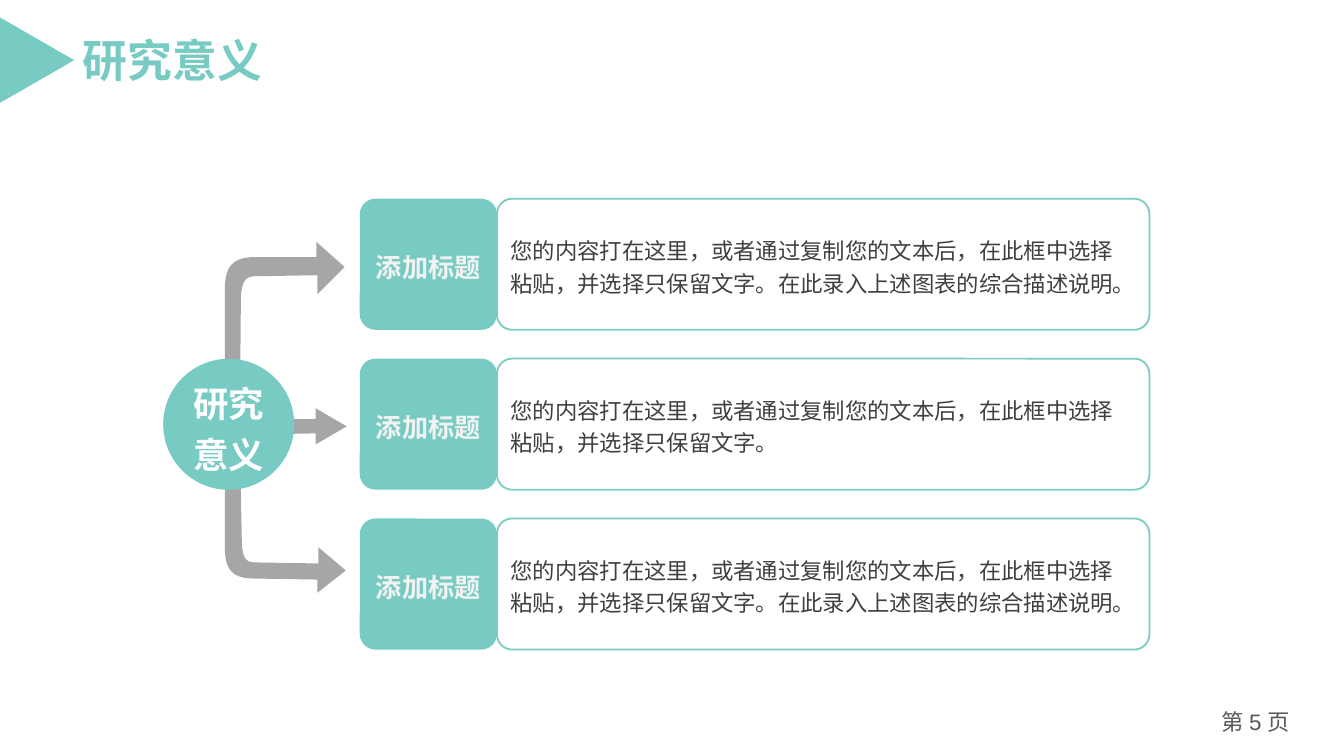
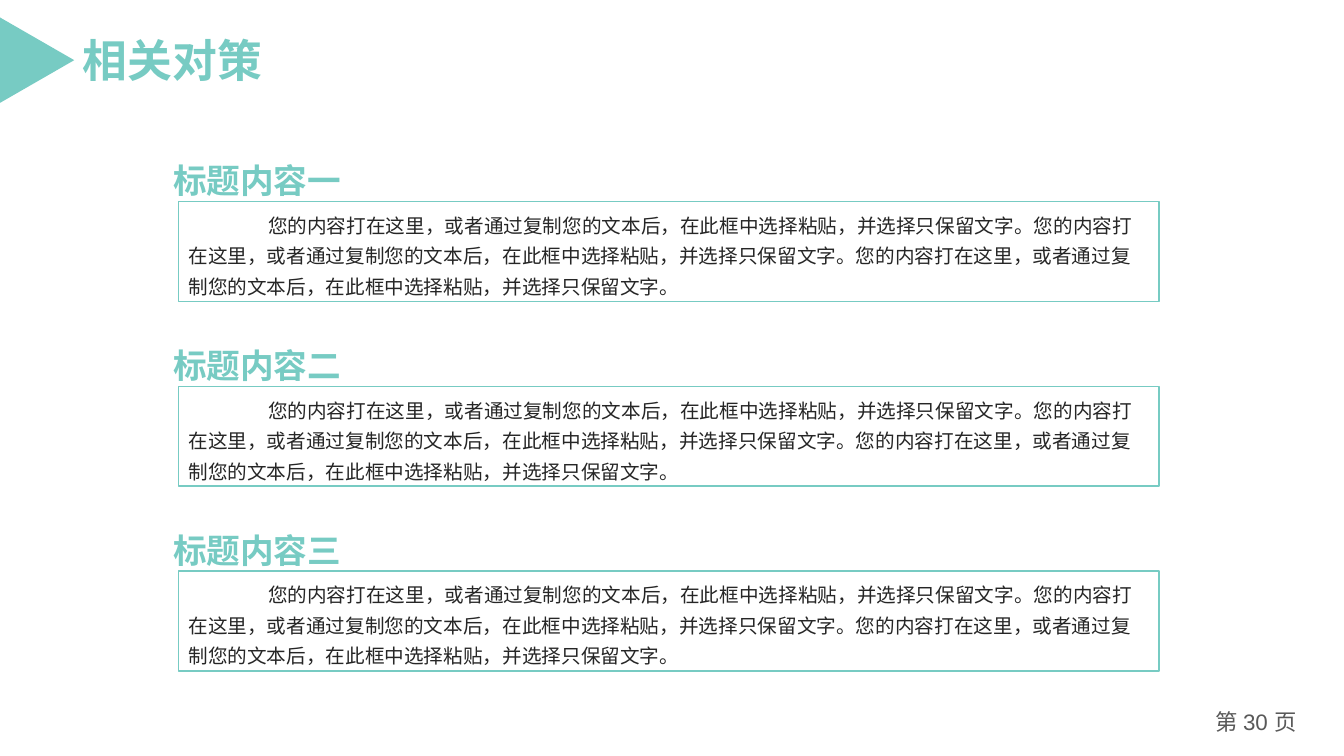
from dataclasses import dataclass

from lxml.etree import SubElement
from pptx import Presentation
from pptx.dml.color import RGBColor
from pptx.enum.shapes import MSO_SHAPE
from pptx.enum.text import MSO_ANCHOR, MSO_AUTO_SIZE, PP_ALIGN
from pptx.oxml.ns import qn
from pptx.util import Pt


@dataclass(frozen=True)
class Theme:
    teal: str = "77CBC3"
    gray: str = "A6A6A6"
    white: str = "FFFFFF"
    pale: str = "F2F2F2"
    body: str = "404040"
    dark: str = "262626"
    foot: str = "595959"
    latin: str = "Arial"
    han: str = "Noto Sans CJK SC"
    title_size: float = 32
    hub_size: float = 25.3
    head_size: float = 24
    label_size: float = 18.7
    card_size: float = 16
    foot_size: float = 16
    note_size: float = 14


LEFT, MID = PP_ALIGN.LEFT, PP_ALIGN.CENTER
TOP, CENTER = MSO_ANCHOR.TOP, MSO_ANCHOR.MIDDLE


def color(code):
    return RGBColor.from_string(code)


def curve(start, one, two, end, steps=10):
    """Points along a cubic curve, without its start."""
    points = []
    for step in range(1, steps + 1):
        t = step / steps
        u = 1 - t
        parts = (u ** 3, 3 * u * u * t, 3 * u * t * t, t ** 3)
        points.append(tuple(
            sum(part * spot[axis] for part, spot in zip(parts, (start, one, two, end)))
            for axis in (0, 1)))
    return points


class Deck:
    def __init__(self, theme):
        self.theme = theme
        self.file = Presentation()
        self.file.slide_width, self.file.slide_height = Pt(960), Pt(540)
        self.slide = None

    def page(self, title, number):
        """Start a slide with its title, corner mark and page number."""
        look = self.theme
        self.slide = self.file.slides.add_slide(self.file.slide_layouts[5])
        head = self.slide.shapes.title
        head.left, head.top, head.width, head.height = Pt(49.7), Pt(18.7), Pt(148.3), Pt(48.2)
        self.label(head, [(title, look.latin)], look.title_size, look.teal,
                   bold=True, inset=(9.4, 5), wrap=False)
        mark = self.shape(MSO_SHAPE.ISOSCELES_TRIANGLE, (-4, 16.5, 61, 53), fill=look.teal)
        mark.rotation = 90
        self.text((854, 502.5, 86.4, 28.8),
                  [("第 ", look.han), (f"{number} ", look.latin), ("页", look.han)],
                  look.foot_size, look.foot, align=MID, anchor=TOP)

    def paint(self, shape, fill, line, width):
        shape.shadow.inherit = False
        if fill:
            shape.fill.solid()
            shape.fill.fore_color.rgb = color(fill)
        else:
            shape.fill.background()
        if line:
            shape.line.color.rgb = color(line)
            shape.line.width = Pt(width)
        else:
            shape.line.fill.background()

    def shape(self, kind, box, fill=None, line=None, width=1, bend=None):
        shape = self.slide.shapes.add_shape(kind, *map(Pt, box))
        if bend is not None:
            shape.adjustments[0] = bend
        self.paint(shape, fill, line, width)
        return shape

    def arrow(self, points):
        first, *rest = [(Pt(x), Pt(y)) for x, y in points]
        pen = self.slide.shapes.build_freeform(*first)
        pen.add_line_segments(rest, close=True)
        self.paint(pen.convert_to_shape(), self.theme.gray, None, 0)

    def text(self, box, runs, size, ink, **style):
        shape = self.slide.shapes.add_textbox(*map(Pt, box))
        self.label(shape, runs, size, ink, **style)

    def label(self, shape, runs, size, ink, bold=False, align=LEFT, anchor=CENTER,
              space=1.0, inset=(7.2, 3.6), indent=0, wrap=True):
        """Fill a shape with one paragraph of (text, font) runs."""
        frame = shape.text_frame
        frame.auto_size = MSO_AUTO_SIZE.NONE
        frame.word_wrap = wrap
        frame.vertical_anchor = anchor
        frame.margin_left = frame.margin_right = Pt(inset[0])
        frame.margin_top = frame.margin_bottom = Pt(inset[1])
        para = frame.paragraphs[0]
        para.alignment, para.line_spacing, para.space_before = align, space, Pt(0)
        if indent:
            para._p.get_or_add_pPr().set("indent", str(Pt(indent)))
        for words, face in runs:
            run = para.add_run()
            run.text = words
            font = run.font
            font.name, font.size, font.bold = face, Pt(size), bold
            font.color.rgb = color(ink)
            east = SubElement(run._r.get_or_add_rPr(), qn("a:ea"))
            east.set("typeface", self.theme.han)

    def card(self, top, name, words):
        """A teal label joined to an outlined text box."""
        look, high = self.theme, 93.6
        style = dict(space=1.2, inset=(6.5, 3.6))
        panel = self.shape(MSO_SHAPE.ROUNDED_RECTANGLE, (355, top, 466, high),
                           line=look.teal, width=1.25, bend=0.115)
        self.label(panel, [(words, look.han)], look.card_size, look.body, **style)
        tab = self.shape(MSO_SHAPE.ROUNDED_RECTANGLE, (257, top, 98, high),
                         fill=look.teal, bend=0.119)
        self.label(tab, [(name, look.han)], look.label_size, look.pale,
                   bold=True, align=MID, **style)

    def hub(self, box, words):
        look = self.theme
        disc = self.shape(MSO_SHAPE.OVAL, box, fill=look.teal)
        self.label(disc, [(words, look.latin)], look.hub_size, look.white,
                   bold=True, align=MID, space=1.2, inset=(6.5, 3.6))

    def note(self, top, head, words):
        """A heading above an outlined paragraph."""
        look = self.theme
        panel = self.shape(MSO_SHAPE.RECTANGLE, (127.5, top, 700.5, 71.3), line=look.teal)
        self.label(panel, [(words, look.han)], look.note_size, look.dark,
                   anchor=TOP, space=1.3, indent=56.9)
        self.text((116.6, top - 33, 152, 33), [(head, look.han)],
                  look.head_size, look.teal, bold=True, anchor=TOP)


def main():
    deck = Deck(Theme())
    base = "您的内容打在这里，或者通过复制您的文本后，在此框中选择粘贴，并选择只保留文字。"
    more = base + "在此录入上述图表的综合描述说明。"

    deck.page("研究意义", 5)
    deck.arrow([
        (171.4, 317.5), (172.8, 388.8),
        *curve((172.8, 388.8), (173.5, 401.8), (177.8, 401.8), (185, 401.8)),
        (227.5, 402.5), (227.5, 391), (247, 407.5), (226.8, 423.4), (226.8, 414),
        (182.2, 413.3),
        *curve((182.2, 413.3), (166.3, 413.3), (161.3, 407.5), (160.6, 393.1)),
        (160.6, 316.1)])
    deck.arrow([
        (145.4, 311), (225.4, 309.6), (225.4, 317.5), (247.7, 304.6),
        (225.4, 291.6), (225.4, 299.5), (145.4, 299.5)])
    deck.arrow([
        (171.4, 295.2), (172.1, 212.4),
        *curve((172.1, 212.4), (172.8, 198), (177.1, 197.3), (184.3, 197.3)),
        (226.8, 196.6), (226.8, 210.2), (246.2, 190.8), (226.1, 172.8), (226.1, 183.6),
        (182.2, 183.6),
        *curve((182.2, 183.6), (165.6, 183.6), (160.6, 190.8), (160.6, 207.4)),
        (160.6, 296.6)])
    for row, words in enumerate((more, base, more)):
        deck.card(142 + 114.2 * row, "添加标题", words)
    deck.hub((116.6, 256.3, 93.6, 93.6), "研究意义")

    deck.page("相关对策", 30)
    for row, mark in enumerate("一二三"):
        deck.note(144 + 132 * row, f"标题内容{mark}", base * 3)

    deck.file.save("out.pptx")


if __name__ == "__main__":
    main()
